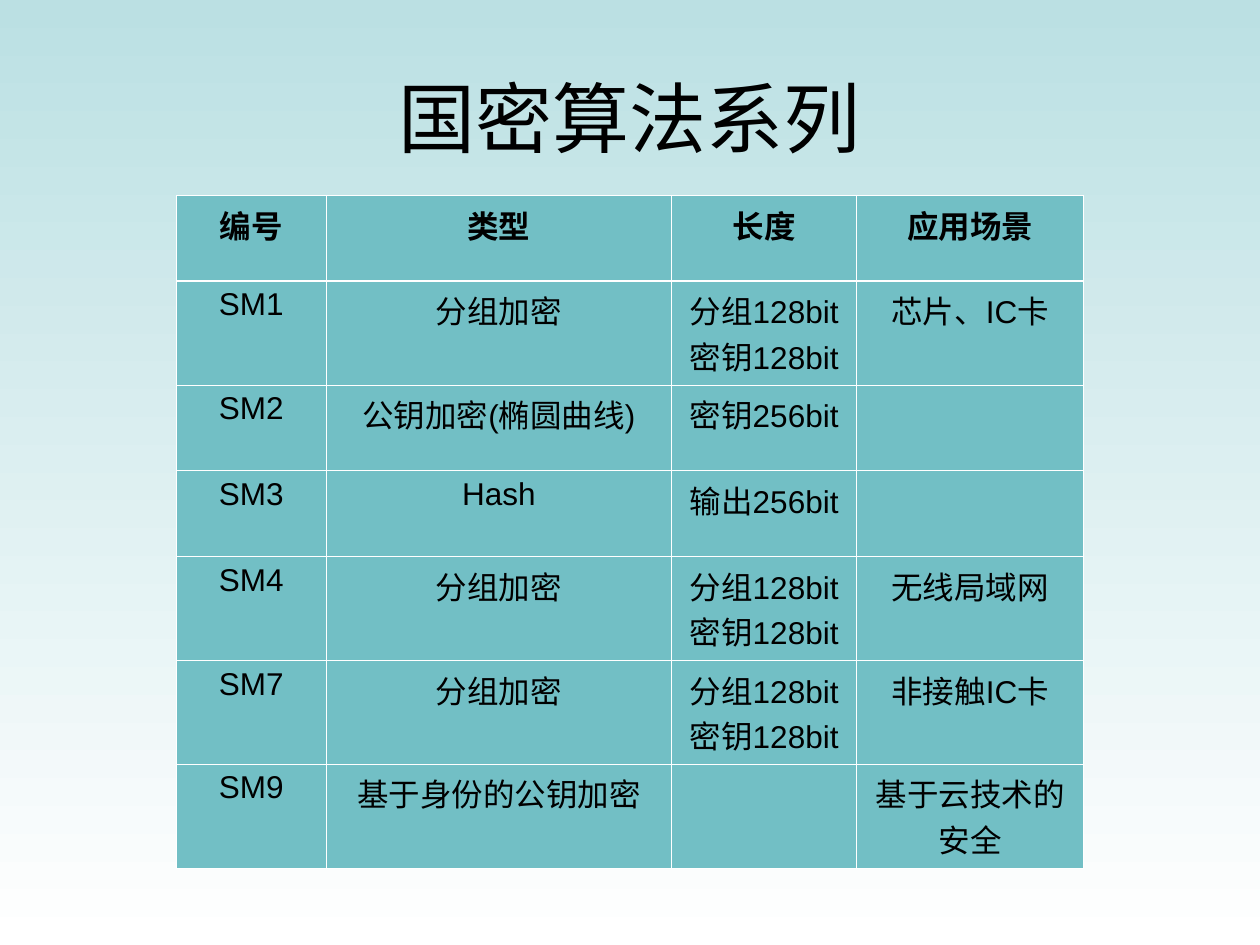
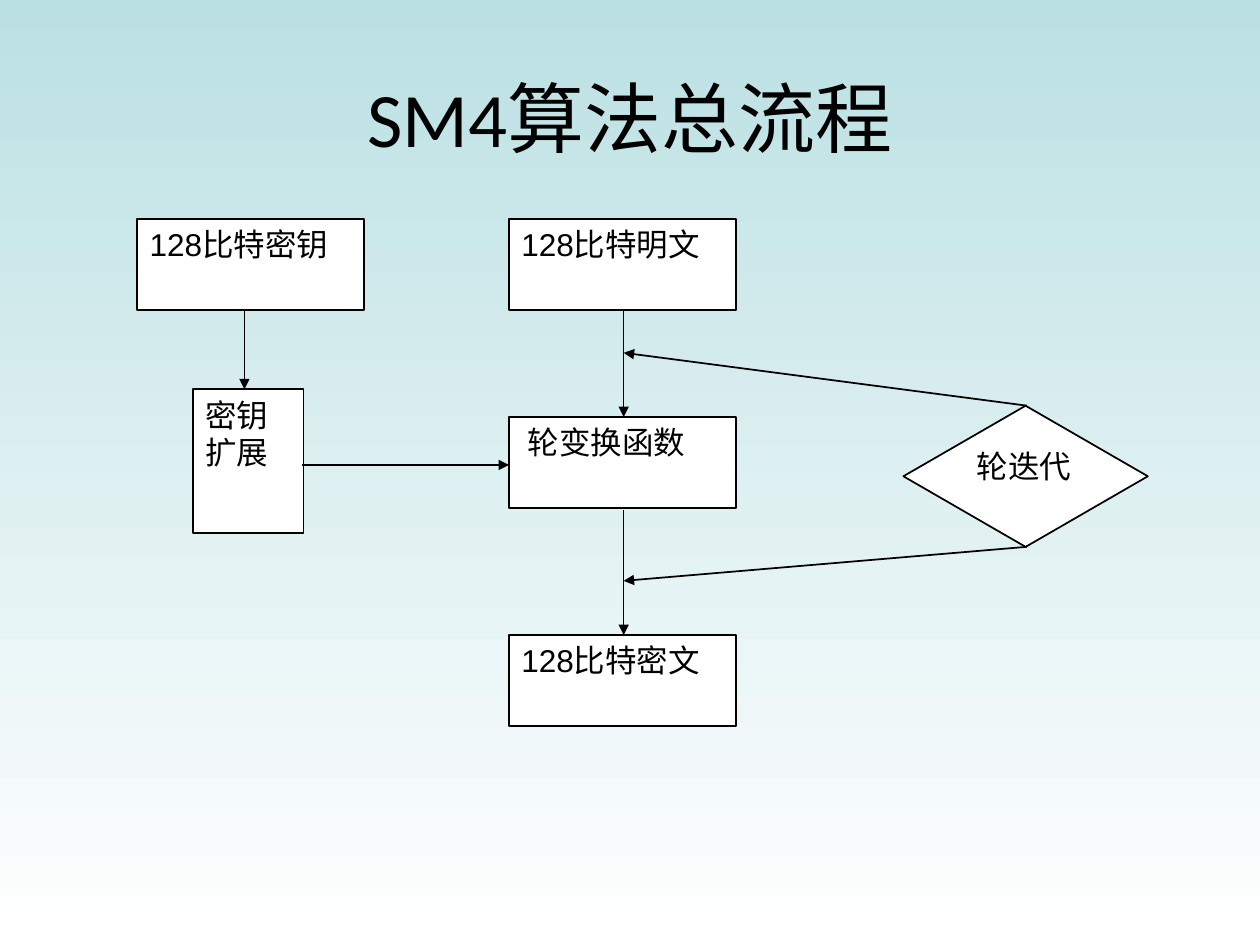
"""Builds two slides on the SM cipher family: an overview table and the SM4 flow chart."""
from typing import NamedTuple

from lxml.etree import SubElement
from pptx import Presentation
from pptx.dml.color import RGBColor
from pptx.enum.shapes import MSO_CONNECTOR, MSO_SHAPE
from pptx.enum.text import MSO_ANCHOR, PP_ALIGN
from pptx.oxml.ns import qn
from pptx.util import Inches, Pt

BLACK = RGBColor(0x00, 0x00, 0x00)
WHITE = RGBColor(0xFF, 0xFF, 0xFF)
SKY = RGBColor(0xBB, 0xE0, 0xE3)
TEAL = RGBColor(0x72, 0xBF, 0xC5)

WIDTH, HEIGHT = Inches(10), Inches(7.5)
GRID_COLS, GRID_ROWS = 100, 75

TITLE_FONT = {"name": "Calibri", "size": Pt(44)}
BODY_FONT = {"name": "Arial", "size": Pt(18)}
HEAD_FONT = BODY_FONT | {"bold": True}

COL_WIDTHS = (11.9, 27.4, 14.7, 18)
ONE_LINE, TWO_LINES = 6.8, 8.25
THIN, THICK = Pt(0.45), Pt(1.47)
BLOCK_SIZES = "分组128bit\n密钥128bit"
ALGORITHMS = (
    ("编号", "类型", "长度", "应用场景"),
    ("SM1", "分组加密", BLOCK_SIZES, "芯片、IC卡"),
    ("SM2", "公钥加密(椭圆曲线)", "密钥256bit", ""),
    ("SM3", "Hash", "输出256bit", ""),
    ("SM4", "分组加密", BLOCK_SIZES, "无线局域网"),
    ("SM7", "分组加密", BLOCK_SIZES, "非接触IC卡"),
    ("SM9", "基于身份的公钥加密", "", "基于云技术的安全"),
)
ROW_HEIGHTS = (ONE_LINE, TWO_LINES, ONE_LINE, ONE_LINE, TWO_LINES, TWO_LINES, TWO_LINES)


class Node(NamedTuple):
    text: str
    col: float
    row: float
    cols: float = 18
    rows: float = 7.2
    shape: MSO_SHAPE = MSO_SHAPE.RECTANGLE
    indent: float = 0


class Arrow(NamedTuple):
    col1: float
    row1: float
    col2: float
    row2: float
    weight: float = 0.75


MAIN_LEFT, MAIN_AXIS = 40.4, 49.5
LOOP_AXIS, LOOP_TOP, LOOP_BOTTOM = 81.5, 32.2, 43.4
NODES = (
    Node("128比特密钥", 10.9, 17.4),
    Node("密钥扩展", 15.3, 30.9, 8.8, 11.4),
    Node("128比特明文", MAIN_LEFT, 17.4),
    Node("轮变换函数", MAIN_LEFT, 33.1, indent=0.5),
    Node("128比特密文", MAIN_LEFT, 50.4),
    Node("轮迭代", 71.7, LOOP_TOP, 19.4, LOOP_BOTTOM - LOOP_TOP, MSO_SHAPE.DIAMOND),
)
ARROWS = (
    Arrow(19.4, 24.6, 19.4, 30.9),
    Arrow(24, 36.9, MAIN_LEFT, 36.9),
    Arrow(MAIN_AXIS, 24.7, MAIN_AXIS, 33.1),
    Arrow(MAIN_AXIS, 40.5, MAIN_AXIS, 50.4),
    Arrow(LOOP_AXIS, LOOP_TOP, MAIN_AXIS, 28, 1),
    Arrow(LOOP_AXIS, LOOP_BOTTOM, MAIN_AXIS, 46.1, 1),
)


def x(cols: float) -> int:
    return round(WIDTH * cols / GRID_COLS)


def y(rows: float) -> int:
    return round(HEIGHT * rows / GRID_ROWS)


def write(tf, text: str, font: dict, align: PP_ALIGN = PP_ALIGN.LEFT) -> None:
    tf.word_wrap = True
    tf.text = text
    for p in tf.paragraphs:
        p.alignment = align
        for r in p.runs:
            r.font.color.rgb = BLACK
            for name, value in font.items():
                setattr(r.font, name, value)


def add_slide(prs, title: str):
    s = prs.slides.add_slide(prs.slide_layouts[6])
    fill = s.background.fill
    fill.gradient()
    fill.gradient_angle = 270
    for stop, color, position in zip(fill.gradient_stops, (SKY, WHITE), (0, 1)):
        stop.color.rgb = color
        stop.position = position
    tf = s.shapes.add_textbox(x(5), y(3), x(90), y(12.5)).text_frame
    write(tf, title, TITLE_FONT, PP_ALIGN.CENTER)
    tf.vertical_anchor = MSO_ANCHOR.MIDDLE
    return s


def add_borders(cell, weights: dict) -> None:
    tc_pr = cell._tc.get_or_add_tcPr()
    for side, weight in weights.items():
        ln = SubElement(tc_pr, qn(f"a:ln{side}"), w=str(int(weight)))
        SubElement(SubElement(ln, qn("a:solidFill")), qn("a:srgbClr"), val=str(WHITE))


def add_algorithm_table(s) -> None:
    table = s.shapes.add_table(
        len(ALGORITHMS), len(COL_WIDTHS), x(14), y(15.5),
        x(sum(COL_WIDTHS)), y(sum(ROW_HEIGHTS))).table
    table.horz_banding = False
    for column, width in zip(table.columns, COL_WIDTHS):
        column.width = x(width)
    for i, (row, height, texts) in enumerate(zip(table.rows, ROW_HEIGHTS, ALGORITHMS)):
        row.height = y(height)
        weights = {"L": THIN, "R": THIN,
                   "T": THICK if i == 1 else THIN, "B": THICK if i == 0 else THIN}
        for cell, text in zip(row.cells, texts):
            add_borders(cell, weights)
            cell.fill.solid()
            cell.fill.fore_color.rgb = TEAL
            write(cell.text_frame, text, BODY_FONT if i else HEAD_FONT, PP_ALIGN.CENTER)


def add_node(s, node: Node) -> None:
    sp = s.shapes.add_shape(node.shape, x(node.col), y(node.row), x(node.cols), y(node.rows))
    sp.shadow.inherit = False
    sp.fill.solid()
    sp.fill.fore_color.rgb = WHITE
    sp.line.color.rgb = BLACK
    sp.line.width = Pt(1)
    tf = sp.text_frame
    write(tf, node.text, BODY_FONT)
    tf.vertical_anchor = MSO_ANCHOR.TOP
    tf.margin_left = x(1 + node.indent)


def add_arrow(s, arrow: Arrow) -> None:
    sp = s.shapes.add_connector(
        MSO_CONNECTOR.STRAIGHT, x(arrow.col1), y(arrow.row1), x(arrow.col2), y(arrow.row2))
    sp.line.color.rgb = BLACK
    sp.line.width = Pt(arrow.weight)
    sp_pr = sp.element.spPr
    SubElement(sp_pr.find(qn("a:ln")), qn("a:tailEnd"), type="triangle")
    SubElement(sp_pr, qn("a:effectLst"))


def main() -> None:
    prs = Presentation()
    prs.slide_width, prs.slide_height = WIDTH, HEIGHT
    add_algorithm_table(add_slide(prs, "国密算法系列"))
    flow = add_slide(prs, "SM4算法总流程")
    for node in NODES:
        add_node(flow, node)
    for arrow in ARROWS:
        add_arrow(flow, arrow)
    prs.save("out.pptx")


if __name__ == "__main__":
    main()
